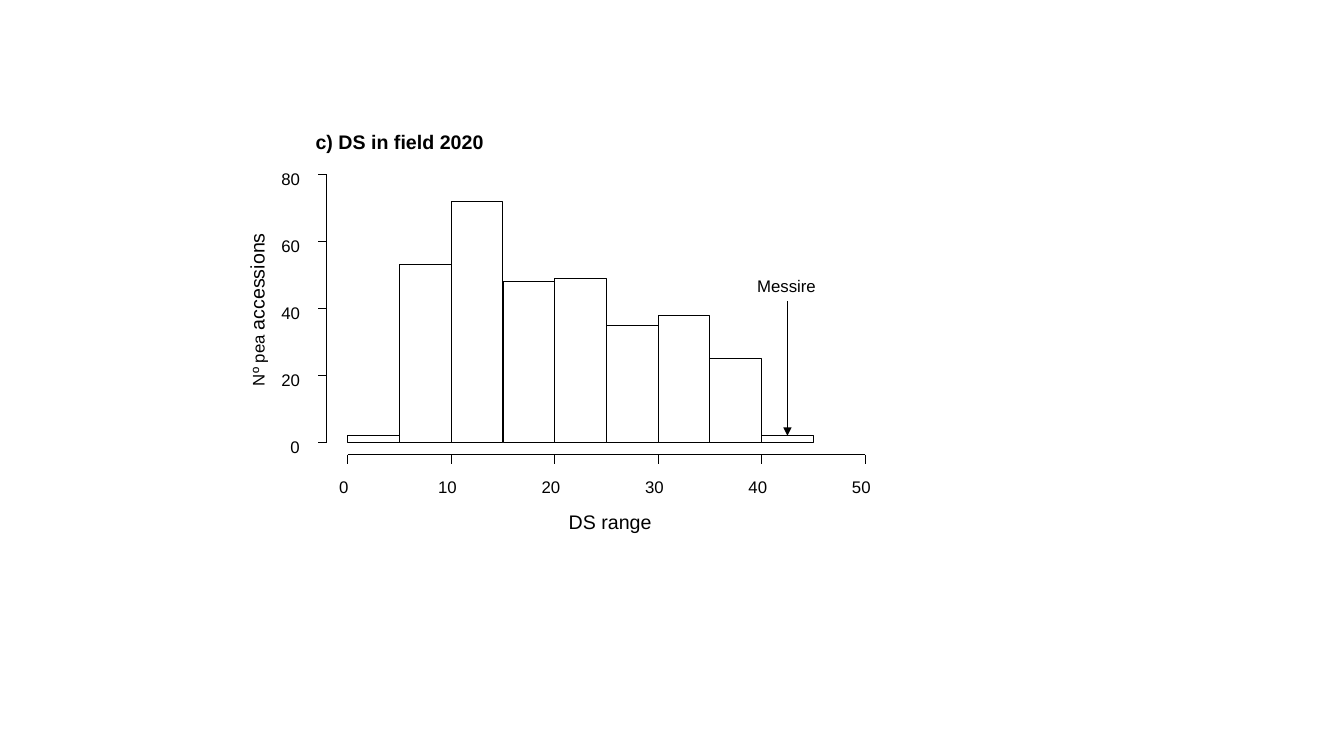
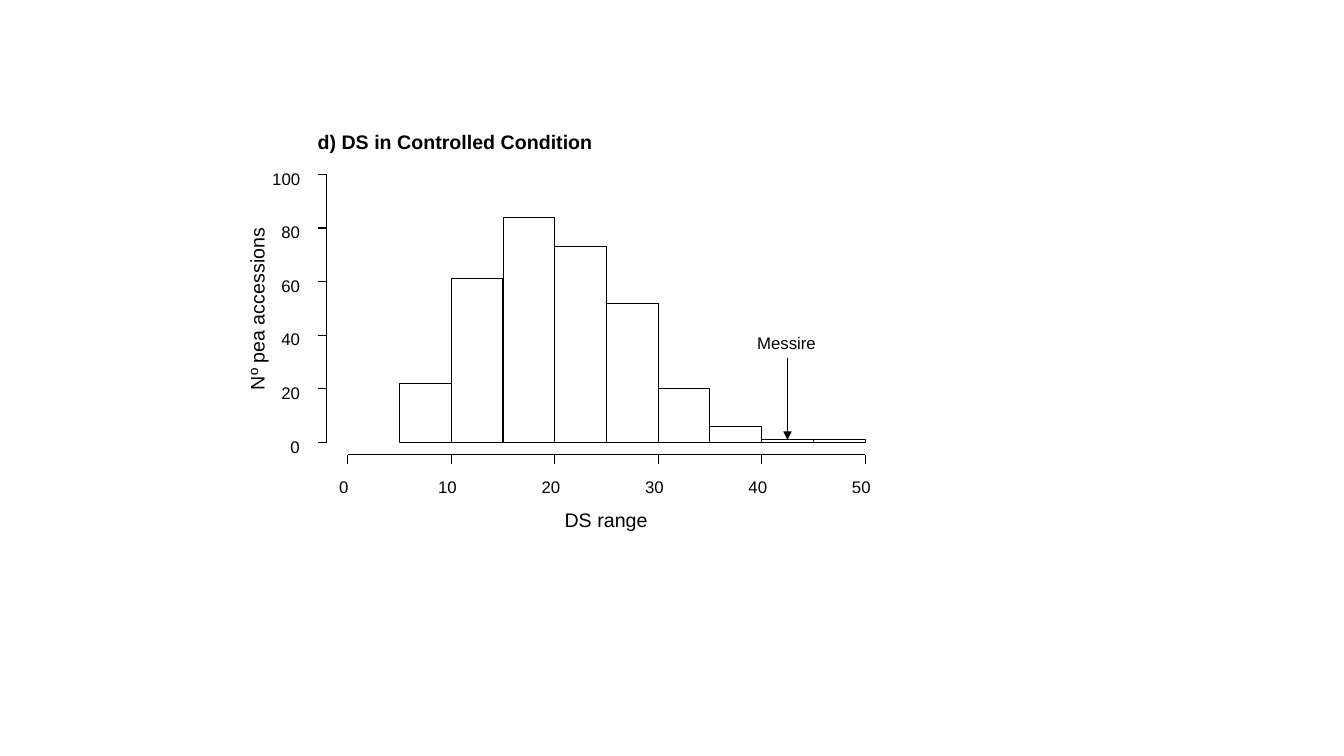
from pptx import Presentation
from pptx.dml.color import RGBColor
from pptx.enum.shapes import MSO_CONNECTOR, MSO_SHAPE
from pptx.enum.text import MSO_AUTO_SIZE
from pptx.oxml.ns import qn
from pptx.util import Inches, Pt
from lxml import etree

STRAIGHT = MSO_CONNECTOR.STRAIGHT
RECTANGLE = MSO_SHAPE.RECTANGLE
GROW = MSO_AUTO_SIZE.SHAPE_TO_FIT_TEXT

BIN_WIDTH = 5
X_MAX = 50
Y_STEP = 20
AXIS_LEFT, AXIS_RIGHT = 3.45, 8.58
BASELINE, PLOT_TOP = 4.39, 1.73
X_AXIS_TOP, Y_AXIS_LEFT = 4.51, 3.24
TICK = 0.09
MARKER_VALUE = 42.5

HISTOGRAMS = [
    {
        "title": ("c) DS in field 2020", 3.13, 1.67),
        "x_title": (5.64, 5.06),
        "y_title": ([("Nº pea ", 12), ("accessions", 14)], 1.79, 2.95, 1.52),
        "y_max": 80,
        "counts": [2, 53, 72, 48, 49, 35, 38, 25, 2, 0],
        "marker_top": 2.99,
    },
    {
        "title": ("d) DS in Controlled Condition", 3.15, 3.01),
        "x_title": (5.6, 5.04),
        "y_title": ([("Nº pea accessions", 14)], 1.74, 2.94, 1.62),
        "y_max": 100,
        "counts": [0, 22, 61, 84, 73, 52, 20, 6, 1, 1],
        "marker_top": 3.55,
    },
]


def rgb(value):
    return RGBColor.from_string(value)


def x_at(value):
    return AXIS_LEFT + (AXIS_RIGHT - AXIS_LEFT) * value / X_MAX


def label_width(label):
    return 0.08 + 0.09 * len(label)


class HistogramDeck:
    """Holds the shared style and the slide being drawn."""

    ink = "000000"
    paper = "FFFFFF"
    font = "Arial"
    label_size = 12
    title_size = 14
    line_width = 0.75
    arrow_width = 0.5

    def __init__(self):
        self.deck = Presentation()
        self.deck.slide_width = Inches(13.33)
        self.deck.slide_height = Inches(7.5)
        self.slide = None

    def new_slide(self):
        self.slide = self.deck.slides.add_slide(self.deck.slide_layouts[6])

    def text(self, runs, left, top, width, height, bold=False, rotation=0,
             inset=(0, 0), wrap=False):
        box = self.slide.shapes.add_textbox(
            Inches(left), Inches(top), Inches(width), Inches(height))
        box.rotation = rotation
        side, edge = (Inches(margin) for margin in inset)
        frame = box.text_frame
        frame_format = {
            "margin_left": side, "margin_right": side,
            "margin_top": edge, "margin_bottom": edge,
            "word_wrap": wrap, "auto_size": GROW,
        }
        for key, value in frame_format.items():
            setattr(frame, key, value)
        for wording, size in runs:
            run = frame.paragraphs[0].add_run()
            run.text = wording
            font_format = {"name": self.font, "size": Pt(size), "bold": bold}
            for key, value in font_format.items():
                setattr(run.font, key, value)
            run.font.color.rgb = rgb(self.ink)

    def line(self, x1, y1, x2, y2, arrow=False):
        rule = self.slide.shapes.add_connector(
            STRAIGHT, Inches(x1), Inches(y1), Inches(x2), Inches(y2))
        rule.line.color.rgb = rgb(self.ink)
        rule.line.width = Pt(self.arrow_width if arrow else self.line_width)
        properties = rule.element.spPr
        if arrow:
            outline = properties.find(qn("a:ln"))
            etree.SubElement(outline, qn("a:tailEnd"), type="triangle")
        etree.SubElement(properties, qn("a:effectLst"))

    def bar(self, left, top, width, height):
        column = self.slide.shapes.add_shape(
            RECTANGLE, Inches(left), Inches(top), Inches(width), Inches(height))
        column.shadow.inherit = False
        column.fill.solid()
        column.fill.fore_color.rgb = rgb(self.paper)
        column.line.color.rgb = rgb(self.ink)
        column.line.width = Pt(self.line_width)

    def tick_label(self, value, left, top):
        label = str(value)
        self.text([(label, self.label_size)], left, top, label_width(label), 0.23)

    def x_axis(self):
        self.line(AXIS_LEFT, X_AXIS_TOP, AXIS_RIGHT, X_AXIS_TOP)
        for value in range(0, X_MAX + 1, 10):
            x = x_at(value)
            self.line(x, X_AXIS_TOP, x, X_AXIS_TOP + TICK)
            self.tick_label(value, x - label_width(str(value)) / 2, 4.73)

    def y_axis(self, y_max, unit):
        self.line(Y_AXIS_LEFT, BASELINE, Y_AXIS_LEFT, PLOT_TOP)
        for value in range(0, y_max + 1, Y_STEP):
            y = BASELINE - value * unit
            self.line(Y_AXIS_LEFT, y, Y_AXIS_LEFT - TICK, y)
            self.tick_label(value, 3.05 - label_width(str(value)), y - 0.06)

    def bars(self, counts, unit):
        for index, count in enumerate(counts):
            if count:
                left = x_at(index * BIN_WIDTH)
                height = count * unit
                self.bar(left, BASELINE - height, x_at(BIN_WIDTH) - AXIS_LEFT, height)

    def marker(self, top, tip):
        x = x_at(MARKER_VALUE)
        self.line(x, top, x, tip, arrow=True)
        self.text([("Messire", self.label_size)], x - 0.4, top - 0.3, 0.79, 0.3,
                  inset=(0.1, 0.05), wrap=True)

    def histogram(self, data):
        self.new_slide()
        unit = (BASELINE - PLOT_TOP) / data["y_max"]
        counts = data["counts"]
        title, title_left, title_width = data["title"]
        self.text([(title, self.title_size)], title_left, 1.29, title_width, 0.24, bold=True)
        self.text([("DS range", self.title_size)], *data["x_title"], 0.83, 0.24)
        self.text(*data["y_title"], 0.24, rotation=270)
        self.x_axis()
        self.y_axis(data["y_max"], unit)
        self.bars(counts, unit)
        marked_count = counts[int(MARKER_VALUE // BIN_WIDTH)]
        self.marker(data["marker_top"], BASELINE - marked_count * unit)


def main():
    histograms = HistogramDeck()
    for data in HISTOGRAMS:
        histograms.histogram(data)
    histograms.deck.save("out.pptx")


if __name__ == "__main__":
    main()
